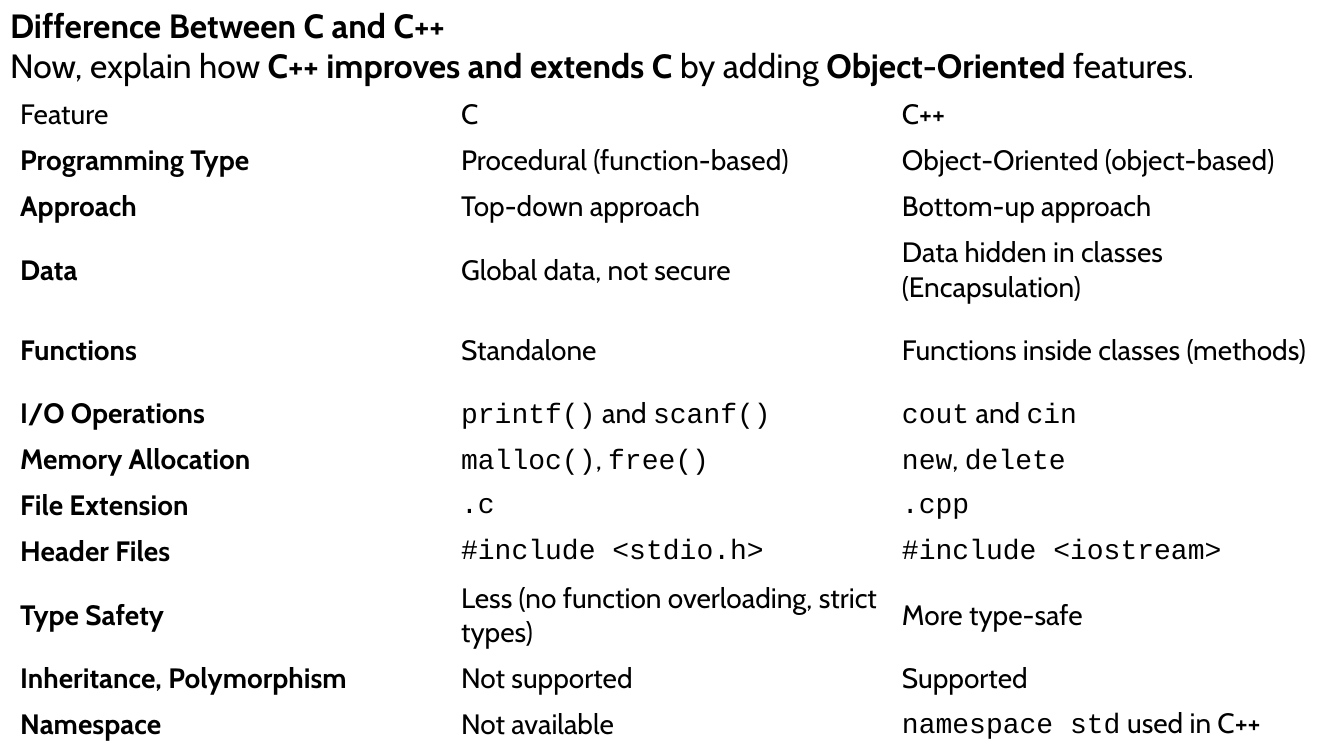
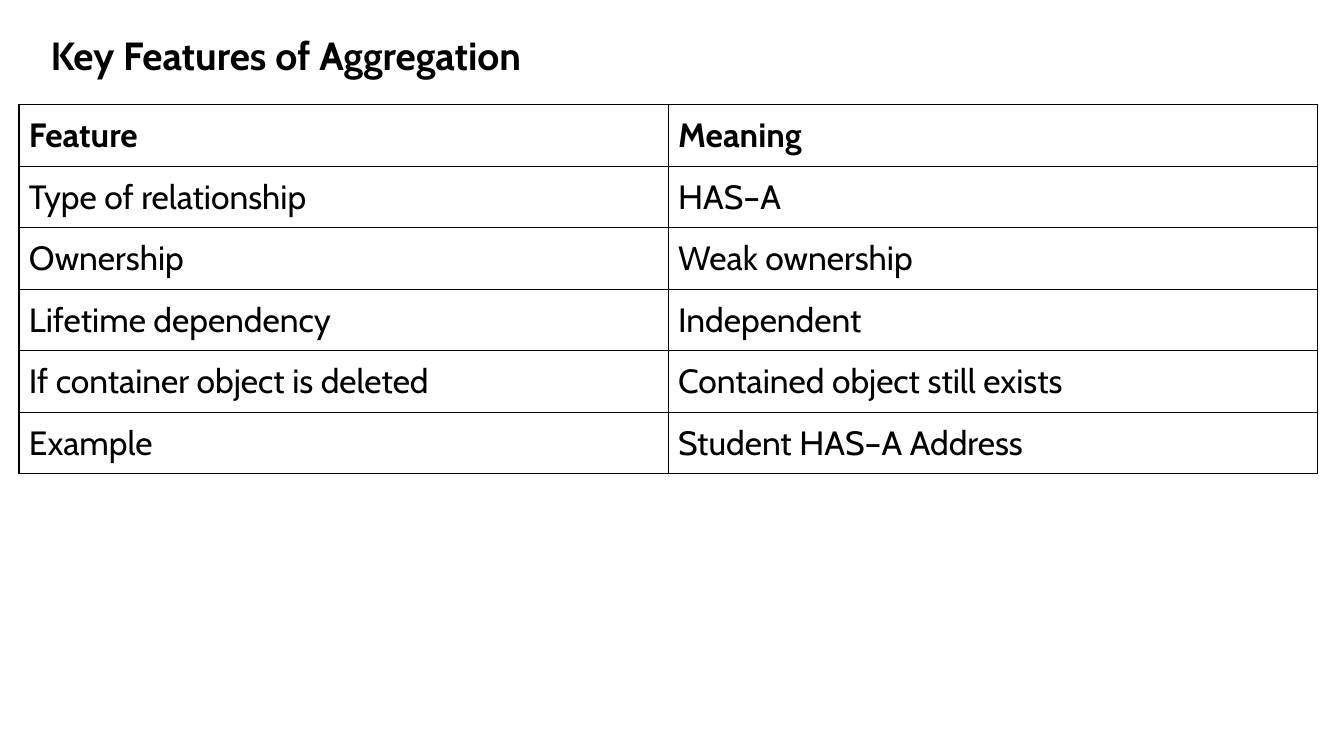
from itertools import product

from lxml.etree import SubElement
from pptx import Presentation
from pptx.dml.color import RGBColor
from pptx.enum.text import MSO_ANCHOR as Anchor, MSO_AUTO_SIZE as AutoSize, PP_ALIGN as Align
from pptx.oxml.ns import qn
from pptx.util import Cm, Pt

# Shared look
COLORS = {"background": "FFFFFF", "text": "000000", "grid": "000000"}
TEXT_FONT, CODE_FONT = "Cabin", "Courier New"
PLAIN_TABLE_STYLE = "{2D5ABB26-0587-4C30-8999-92F81FD0307C}"
TITLE_ONLY = 5

# Content: *bold*, `code`
LANGUAGE_TITLE = [
    "*Difference Between C and C++*",
    "Now, explain how *C++ improves and extends C* by adding *Object-Oriented* features.",
]
LANGUAGE_ROWS = [
    ("Feature", "C", "C++"),
    ("Programming Type", "Procedural (function-based)", "Object-Oriented (object-based)"),
    ("Approach", "Top-down approach", "Bottom-up approach"),
    ("Data", "Global data, not secure", "Data hidden in classes (Encapsulation)"),
    ("Functions", "Standalone", "Functions inside classes (methods)"),
    ("I/O Operations", "`printf()` and `scanf()`", "`cout` and `cin`"),
    ("Memory Allocation", "`malloc()`, `free()`", "`new`, `delete`"),
    ("File Extension", "`.c`", "`.cpp`"),
    ("Header Files", "`#include <stdio.h>`", "`#include <iostream>`"),
    ("Type Safety", "Less (no function overloading, strict types)", "More type-safe"),
    ("Inheritance, Polymorphism", "Not supported", "Supported"),
    ("Namespace", "Not available", "`namespace std` used in C++"),
]
TALL_FEATURES = {"Data", "Functions", "Type Safety"}
AGGREGATION_ROWS = [
    ("Feature", "Meaning"),
    ("Type of relationship", "HAS–A"),
    ("Ownership", "Weak ownership"),
    ("Lifetime dependency", "Independent"),
    ("If container object is deleted", "Contained object still exists"),
    ("Example", "Student HAS–A Address"),
]


def add_runs(paragraph, marked_text, size, bold=False):
    """Turn *bold* and `code` marks into formatted runs."""
    for bold_index, stretch in enumerate(marked_text.split("*")):
        for code_index, piece in enumerate(stretch.split("`")):
            if not piece:
                continue
            run = paragraph.add_run()
            run.text = piece
            run.font.name = CODE_FONT if code_index % 2 else TEXT_FONT
            run.font.size = Pt(size)
            run.font.bold = bold or bold_index % 2 == 1
            run.font.color.rgb = RGBColor.from_string(COLORS["text"])


def add_titled_slide(deck, lines, box, size):
    slide = deck.slides.add_slide(deck.slide_layouts[TITLE_ONLY])
    title = slide.shapes.title
    title.left, title.top, title.width, title.height = map(Cm, box)
    frame = title.text_frame
    frame.word_wrap = True
    frame.auto_size = AutoSize.NONE
    frame.vertical_anchor = Anchor.TOP
    for index, line in enumerate(lines):
        paragraph = frame.add_paragraph() if index else frame.paragraphs[0]
        paragraph.alignment = Align.LEFT
        add_runs(paragraph, line, size)
    return slide


def add_borders(cell, width):
    properties = cell._tc.get_or_add_tcPr()
    for position, side in enumerate(("lnL", "lnR", "lnT", "lnB")):
        line = SubElement(properties, qn(f"a:{side}"), w=str(Pt(width)))
        fill = SubElement(line, qn("a:solidFill"))
        SubElement(fill, qn("a:srgbClr"), val=COLORS["grid"])
        properties.insert(position, line)  # borders come before the cell fill


def add_feature_table(slide, rows, corner, column_width, row_heights, size, margins,
                      is_label, border=None):
    left, top = corner
    columns = len(rows[0])
    table = slide.shapes.add_table(len(rows), columns, Cm(left), Cm(top),
                                   Cm(column_width * columns), Cm(sum(row_heights))).table
    table._tbl.tblPr.find(qn("a:tableStyleId")).text = PLAIN_TABLE_STYLE
    table.first_row = table.horz_banding = False
    for column in table.columns:
        column.width = Cm(column_width)
    for row, height in zip(table.rows, row_heights):
        row.height = Cm(height)

    side_margin, end_margin = map(Cm, margins)
    for row, column in product(range(len(rows)), range(columns)):
        cell = table.cell(row, column)
        cell.fill.background()
        cell.vertical_anchor = Anchor.MIDDLE
        cell.margin_left = cell.margin_right = side_margin
        cell.margin_top = cell.margin_bottom = end_margin
        add_runs(cell.text_frame.paragraphs[0], rows[row][column], size, is_label(row, column))
        if border:
            add_borders(cell, border)


def main():
    deck = Presentation()
    deck.slide_width, deck.slide_height = Cm(33.87), Cm(19.05)
    background = deck.slide_master.background.fill
    background.solid()
    background.fore_color.rgb = RGBColor.from_string(COLORS["background"])

    # C compared with C++
    languages = add_titled_slide(deck, LANGUAGE_TITLE, (0, 0, 33.87, 2.31), 24)
    heights = [2.03 if row[0] in TALL_FEATURES else 1.16 for row in LANGUAGE_ROWS]
    add_feature_table(languages, LANGUAGE_ROWS, (0.3, 2.31), 11.11, heights, 20, (0.21, 0.1),
                      is_label=lambda row, column: row > 0 and column == 0)

    # Aggregation
    aggregation = add_titled_slide(deck, ["*Key Features of Aggregation*"],
                                   (1.02, 0.66, 16.94, 1.45), 28)
    add_feature_table(aggregation, AGGREGATION_ROWS, (0.48, 2.64), 16.36,
                      [1.55] * len(AGGREGATION_ROWS), 24, (0.25, 0.13),
                      is_label=lambda row, column: row == 0, border=1)

    deck.save("out.pptx")


if __name__ == "__main__":
    main()
